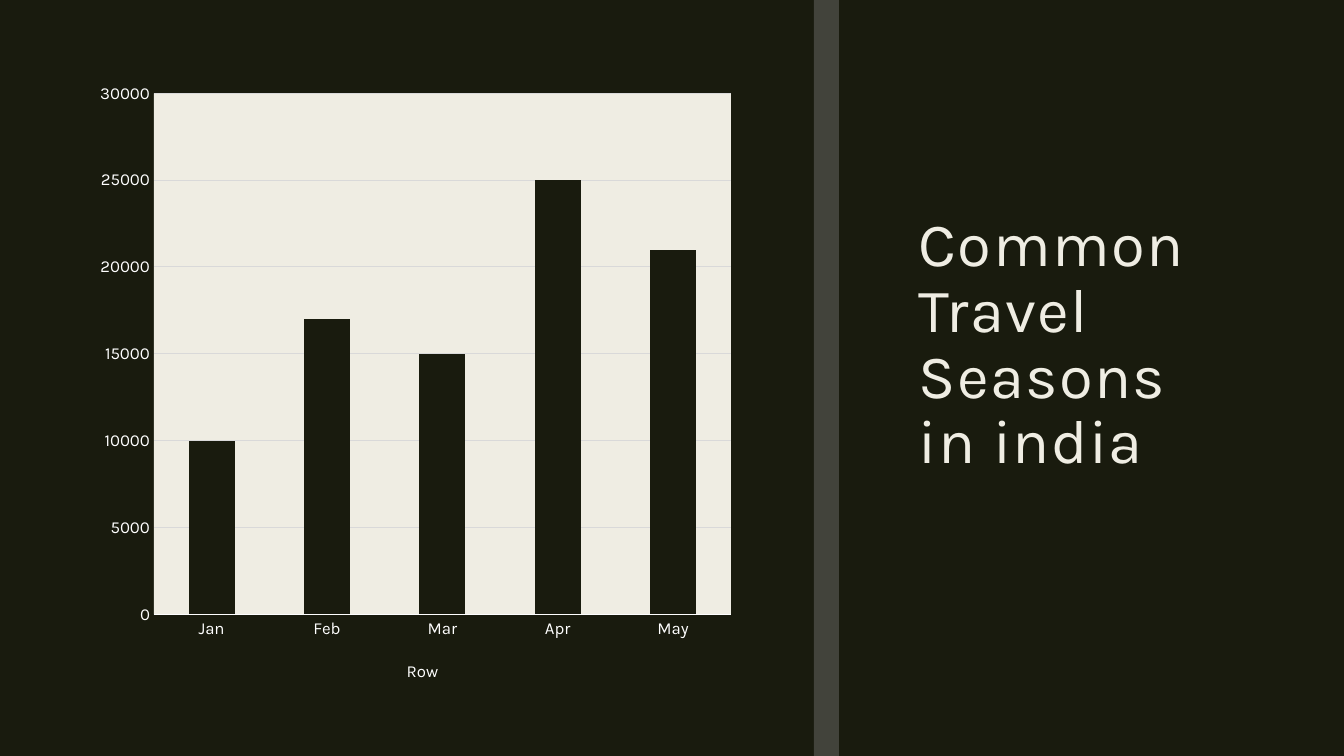
from lxml import etree
from pptx import Presentation
from pptx.chart.data import CategoryChartData
from pptx.dml.color import RGBColor
from pptx.enum.chart import XL_CHART_TYPE as ChartType
from pptx.enum.chart import XL_LEGEND_POSITION as LegendPosition
from pptx.enum.chart import XL_TICK_MARK as TickMark
from pptx.enum.shapes import MSO_SHAPE as Shape
from pptx.enum.text import MSO_ANCHOR as Anchor
from pptx.oxml import parse_xml
from pptx.oxml.ns import nsdecls, qn
from pptx.util import Pt

PX = 9071  # EMU per pixel, 100.8 pixels to the inch
FONT = "Karla"
DARK, CREAM, WHITE = "191B0E", "EFEDE3", "FFFFFF"
GRAY, GRID = "808080", "D9D9D9"

TRAVELLERS = {"Jan": 10000, "Feb": 17000, "Mar": 15000, "Apr": 25000, "May": 21000}


def px(*lengths):
    return [length * PX for length in lengths]


def paint(fill, color):
    fill.solid()
    fill.fore_color.rgb = RGBColor.from_string(color)


def style_font(font, size, color):
    font.name = FONT
    font.size = Pt(size)
    font.color.rgb = RGBColor.from_string(color)


def style_line(line, color):
    paint(line.fill, color)
    line.width = Pt(0.75)


def add_divider(slide, box, color, opacity):
    divider = slide.shapes.add_shape(Shape.RECTANGLE, *px(*box))
    divider.shadow.inherit = False
    divider.line.fill.background()
    paint(divider.fill, color)
    tint = divider.fill._xPr.find(qn("a:solidFill"))[0]
    etree.SubElement(tint, qn("a:alpha"), val=str(opacity * 1000))


def add_title(slide, box, text):
    frame = slide.shapes.add_textbox(*px(*box)).text_frame
    frame.word_wrap = True
    frame.vertical_anchor = Anchor.MIDDLE
    frame.margin_bottom = 71 * PX  # lifts the title above the middle
    frame.text = text
    title = frame.paragraphs[0]
    title.line_spacing = 0.89
    for run in title.runs:
        style_font(run.font, 44, CREAM)
        run.font._element.set("spc", "100")


def add_season_chart(slide, box, series_name, values):
    data = CategoryChartData()
    data.categories = list(values)
    data.add_series(series_name, list(values.values()))
    chart = slide.shapes.add_chart(ChartType.COLUMN_STACKED, *px(*box), data).chart
    chart.has_title = False
    style_font(chart.font, 12, WHITE)

    # Columns
    plot = chart.plots[0]
    plot.gap_width, plot.overlap = 150, 100
    plot.vary_by_categories = False
    paint(plot.series[0].format.fill, DARK)

    # Axes
    months, amounts = chart.category_axis, chart.value_axis
    for axis in (months, amounts):
        axis.major_tick_mark = axis.minor_tick_mark = TickMark.NONE
        style_font(axis.tick_labels.font, 12, WHITE)
    style_line(months.format.line, WHITE)
    amounts.format.line.fill.background()
    amounts.has_major_gridlines = True
    style_line(amounts.major_gridlines.format.line, GRID)

    # Legend
    chart.has_legend = True
    chart.legend.position = LegendPosition.BOTTOM
    chart.legend.include_in_layout = False
    style_font(chart.legend.font, 12, WHITE)

    # Plot background
    chart._chartSpace.chart.plotArea.append(parse_xml(
        f'<c:spPr {nsdecls("c", "a")}><a:solidFill><a:srgbClr val="{CREAM}"/>'
        "</a:solidFill></c:spPr>"))


def main():
    deck = Presentation()
    deck.slide_width, deck.slide_height = px(1344, 756)
    slide = deck.slides.add_slide(deck.slide_layouts[6])
    paint(slide.background.fill, DARK)

    add_title(slide, (909, 71, 364, 615), "Common Travel Seasons\vin india")
    add_divider(slide, (814, 0, 25, 756), GRAY, 40)
    add_season_chart(slide, (87, 71, 657, 615), "Row", TRAVELLERS)

    deck.save("out.pptx")


if __name__ == "__main__":
    main()
